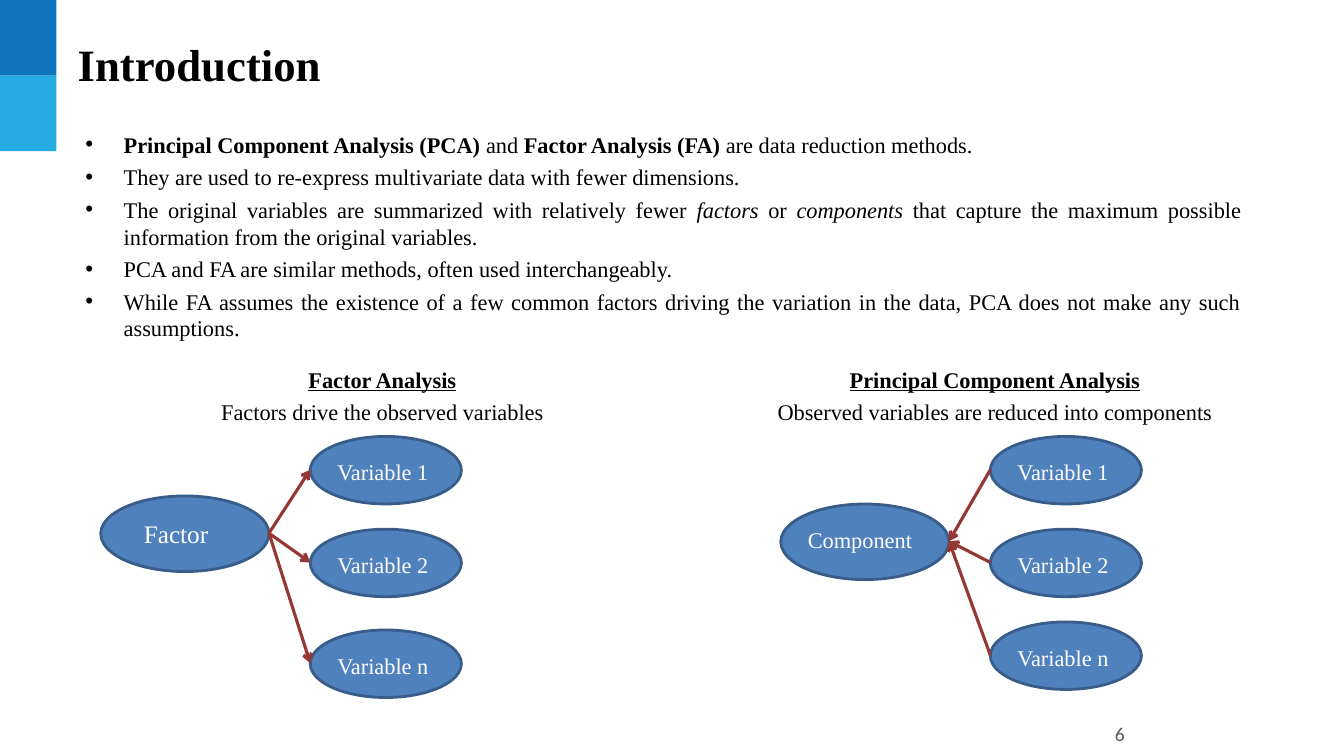
import lxml.etree
import pptx
import pptx.dml.color
import pptx.enum.shapes
import pptx.enum.text
import pptx.oxml.ns
import pptx.util

SHAPE = pptx.enum.shapes.MSO_SHAPE
ALIGN = pptx.enum.text.PP_ALIGN
ANCHOR = pptx.enum.text.MSO_ANCHOR
qn = pptx.oxml.ns.qn


def px(n):
    return pptx.util.Emu(n * 9144)


def rgb(value):
    return pptx.dml.color.RGBColor.from_string(value)


class Deck:
    FONT = "Times New Roman"
    INK = "000000"
    LIGHT = "FFFFFF"
    NODE = "4F81BD"
    NODE_LINE = "385D8A"
    ARROW = "953735"

    def __init__(self, width, height):
        self.prs = pptx.Presentation()
        self.prs.slide_width = px(width)
        self.prs.slide_height = px(height)

    def add_slide(self):
        self.s = self.prs.slides.add_slide(self.prs.slide_layouts[5])

    def font(self, r, size, color, name=FONT, style=""):
        r.font.size = pptx.util.Pt(size)
        r.font.name = name
        r.font.color.rgb = rgb(color)
        r.font.bold = "b" in style
        r.font.italic = "i" in style
        r.font.underline = "u" in style

    def title(self, text, x, y, w, h):
        sp = self.s.shapes.title
        sp.left, sp.top, sp.width, sp.height = map(px, (x, y, w, h))
        tf = sp.text_frame
        tf.text = text
        tf.vertical_anchor = ANCHOR.MIDDLE
        p = tf.paragraphs[0]
        p.alignment = ALIGN.LEFT
        self.font(p.runs[0], 32, self.INK, style="b")

    def shape(self, kind, x, y, w, h, fill, line=None):
        sp = self.s.shapes.add_shape(kind, px(x), px(y), px(w), px(h))
        sp.shadow.inherit = False
        sp.fill.solid()
        sp.fill.fore_color.rgb = rgb(fill)
        if line:
            sp.line.color.rgb = rgb(line)
            sp.line.width = pptx.util.Pt(2)
        else:
            sp.line.fill.background()

    def text(self, paragraphs, x, y, w, h, size=16, color=INK, name=FONT,
             align=ALIGN.LEFT, anchor=ANCHOR.TOP, bullets=False):
        tf = self.s.shapes.add_textbox(px(x), px(y), px(w), px(h)).text_frame
        tf.word_wrap = True
        tf.vertical_anchor = anchor
        for i, runs in enumerate(paragraphs):
            p = tf.add_paragraph() if i else tf.paragraphs[0]
            if bullets:
                self.bullet(p)
            p.alignment = align
            p.space_before = pptx.util.Pt(4 if i else 0)
            for content, style in runs:
                r = p.add_run()
                r.text = content
                self.font(r, size, color, name, style)

    def bullet(self, p):
        pPr = p._p.get_or_add_pPr()
        pPr.set("marL", str(px(38)))
        pPr.set("indent", str(-px(38)))
        lxml.etree.SubElement(pPr, qn("a:buFont"), typeface="Arial")
        lxml.etree.SubElement(pPr, qn("a:buChar"), char="•")

    def node(self, label, x, y, w, h, size=16, inset=17):
        self.shape(SHAPE.OVAL, x, y, w, h, self.NODE, self.NODE_LINE)
        self.text([[(label, "")]], x + inset, y + 17, 125, 37, size, self.LIGHT)

    def arrow(self, start, end):
        c = self.s.shapes.add_connector(
            pptx.enum.shapes.MSO_CONNECTOR.STRAIGHT, *map(px, start + end))
        c.line.color.rgb = rgb(self.ARROW)
        c.line.width = pptx.util.Pt(2.25)
        lxml.etree.SubElement(c.line._get_or_add_ln(), qn("a:tailEnd"), type="arrow")
        lxml.etree.SubElement(c._element.spPr, qn("a:effectLst"))


BULLETS = [
    [("Principal Component Analysis (PCA) ", "b"), ("and ", ""),
     ("Factor Analysis (FA) ", "b"), ("are data reduction methods.", "")],
    [("They are used to re-express multivariate data with fewer dimensions.", "")],
    [("The original variables are summarized with relatively fewer ", ""),
     ("factors ", "i"), ("or ", ""), ("components ", "i"),
     ("that capture the maximum possible information from the original variables.", "")],
    [("PCA and FA are similar methods, often used interchangeably.", "")],
    [("While FA assumes the existence of a few common factors driving the variation "
      "in the data, PCA does not make any such assumptions.", "")],
]
VARIABLES = ["Variable 1", "Variable 2", "Variable n"]
DIAGRAMS = [
    dict(heading="Factor Analysis", caption="Factors drive the observed variables",
         text_x=92, hub="Factor", hub_x=100, hub_y=492, hub_size=18, hub_inset=33,
         var_ys=[433, 525, 625], outward=True),
    dict(heading="Principal Component Analysis",
         caption="Observed variables are reduced into components",
         text_x=700, hub="Component", hub_x=775, hub_y=500, hub_size=16, hub_inset=17,
         var_ys=[433, 525, 617], outward=False),
]


def draw_diagram(deck, d):
    hub_w, hub_h, var_w, var_h = 167, 75, 150, 67
    deck.text([[(d["heading"], "bu")], [(d["caption"], "")]],
              d["text_x"], 358, 575, 325, align=ALIGN.CENTER)
    deck.node(d["hub"], d["hub_x"], d["hub_y"], hub_w, hub_h,
              d["hub_size"], d["hub_inset"])
    hub_end = (d["hub_x"] + hub_w, d["hub_y"] + hub_h // 2)
    var_x = d["hub_x"] + 208
    for label, y in zip(VARIABLES, d["var_ys"]):
        deck.node(label, var_x, y, var_w, var_h)
        var_end = (var_x, y + var_h // 2)
        if d["outward"]:
            deck.arrow(hub_end, var_end)
        else:
            deck.arrow(var_end, hub_end)


def main():
    deck = Deck(1334, 750)
    deck.add_slide()
    for i, fill in enumerate(["0F75BD", "25AAE2"]):
        deck.shape(SHAPE.RECTANGLE, 0, i * 75, 56, 75, fill)
    deck.title("Introduction", 67, 18, 1200, 90)
    deck.text(BULLETS, 75, 125, 1167, 250, align=ALIGN.JUSTIFY, bullets=True)
    deck.text([[("6", "")]], 956, 708, 311, 40, 14, "595959", "Calibri",
              ALIGN.CENTER, ANCHOR.MIDDLE)
    for d in DIAGRAMS:
        draw_diagram(deck, d)
    deck.prs.save("out.pptx")


if __name__ == "__main__":
    main()
